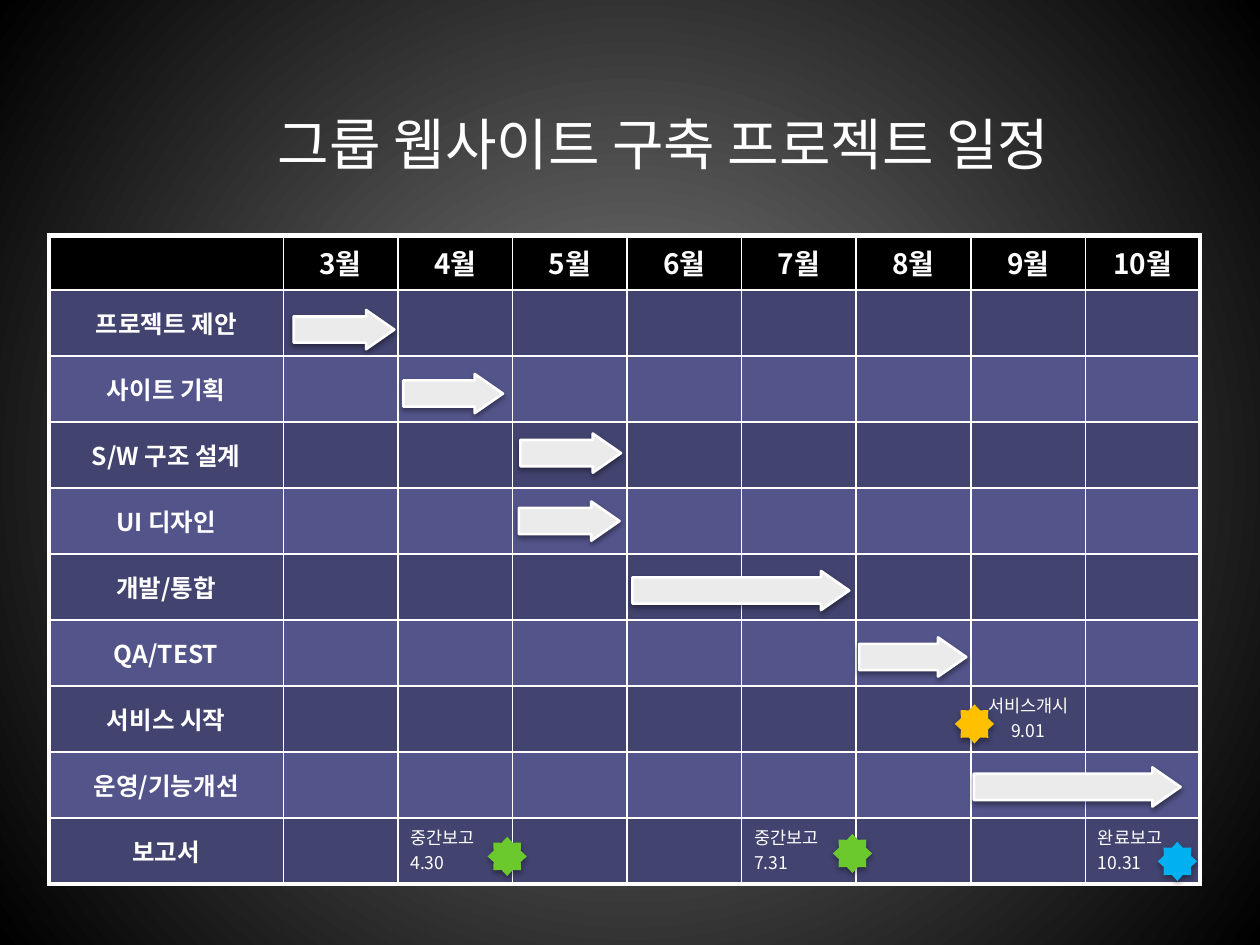
from lxml.etree import SubElement
from pptx import Presentation
from pptx.dml.color import RGBColor
from pptx.enum.shapes import MSO_SHAPE as Shape
from pptx.enum.text import MSO_ANCHOR as Anchor, PP_ALIGN as Align
from pptx.oxml import parse_xml
from pptx.oxml.ns import nsdecls, qn
from pptx.util import Cm, Pt

WHITE = "FFFFFF"
FONT = "Noto Sans CJK KR"


def rgb(value):
    return RGBColor.from_string(value)


def add_marker(kind, left, top, width, color, opacity, distance):
    shape = slide.shapes.add_shape(kind, Cm(left), Cm(top), Cm(width), Cm(0.79))
    shape.fill.solid()
    shape.fill.fore_color.rgb = rgb(color)
    shape.line.fill.background()
    shape.shadow.inherit = False
    effects = shape._element.spPr.find(qn("a:effectLst"))
    effects.append(parse_xml(
        f'<a:outerShdw {nsdecls("a")} blurRad="{Pt(3.1)}" dist="{Pt(distance)}" '
        f'dir="5400000" rotWithShape="0"><a:srgbClr val="000000">'
        f'<a:alpha val="{opacity * 1000}"/></a:srgbClr></a:outerShdw>'))
    return shape


presentation = Presentation()
presentation.slide_width = Cm(25.4)
presentation.slide_height = Cm(19.05)
slide = presentation.slides.add_slide(presentation.slide_layouts[5])

background = slide.background.fill
background.gradient()
for stop, color, position in zip(background.gradient_stops, ("7F7F7F", "000000"), (0, 1)):
    stop.color.rgb = rgb(color)
    stop.position = position
linear = slide._element.find(".//" + qn("a:lin"))
linear.getparent().replace(linear, parse_xml(
    f'<a:path {nsdecls("a")} path="circle">'
    '<a:fillToRect l="50000" t="50000" r="50000" b="50000"/></a:path>'))

title = slide.shapes.title
title.left, title.top, title.width, title.height = Cm(2.95), Cm(1.68), Cm(20.88), Cm(2.41)
title.text_frame.text = "그룹 웹사이트 구축 프로젝트 일정"
title.text_frame.vertical_anchor = Anchor.MIDDLE
paragraph = title.text_frame.paragraphs[0]
paragraph.alignment = Align.CENTER
paragraph.font.name = "Roboto"
paragraph.font.size = Pt(32)
paragraph.font.color.rgb = rgb(WHITE)

months = [f"{month}월" for month in range(3, 11)]
tasks = ["프로젝트 제안", "사이트 기획", "S/W 구조 설계", "UI 디자인", "개발/통합",
         "QA/TEST", "서비스 시작", "운영/기능개선", "보고서"]
notes = {(7, 7): "서비스개시\n9.01", (9, 2): "중간보고 4.30",
         (9, 5): "중간보고 7.31", (9, 8): "완료보고 10.31"}
last_row, last_column = len(tasks), len(months)

schedule = slide.shapes.add_table(last_row + 1, last_column + 1,
                                  Cm(0.99), Cm(4.75), Cm(23.2), Cm(13.07)).table
for index, column in enumerate(schedule.columns):
    column.width = Cm(2.31 if index else 4.72)
for index, row in enumerate(schedule.rows):
    row.height = Cm(1.33 if index else 1.1)

for r in range(last_row + 1):
    for c in range(last_column + 1):
        cell = schedule.cell(r, c)
        if r == 0:
            text, size, fill = ([""] + months)[c], 16, "000000"
        else:
            text = tasks[r - 1] if c == 0 else notes.get((r, c), "")
            size = 14 if c == 0 else 10
            fill = "42436F" if r % 2 else "53548A"
        cell.text = text
        if r and c == 0:
            cell.vertical_anchor = Anchor.MIDDLE
        for paragraph in cell.text_frame.paragraphs:
            left_aligned = r == last_row and c > 0
            paragraph.alignment = Align.LEFT if left_aligned else Align.CENTER
            paragraph.font.name = FONT
            paragraph.font.size = Pt(size)
            paragraph.font.bold = r == 0 or c == 0
            paragraph.font.color.rgb = rgb(WHITE)
            defaults = paragraph._p.pPr.find(qn("a:defRPr"))
            SubElement(defaults, qn("a:ea"), typeface=FONT)
        edges = {"L": c == 0, "R": c == last_column, "T": r == 0, "B": r == last_row}
        properties = cell._tc.get_or_add_tcPr()
        for side, outer in edges.items():
            properties.append(parse_xml(
                f'<a:ln{side} {nsdecls("a")} w="{Pt(3 if outer else 1)}"><a:solidFill>'
                f'<a:srgbClr val="{WHITE}"/></a:solidFill></a:ln{side}>'))
        cell.fill.solid()
        cell.fill.fore_color.rgb = rgb(fill)

periods = [(5.92, 6.25, 2.03), (8.13, 7.54, 2.01), (10.49, 8.74, 2.03), (10.46, 10.11, 2.03),
           (12.75, 11.51, 4.37), (17.32, 12.85, 2.16), (19.63, 15.47, 4.17)]
for left, top, width in periods:
    arrow = add_marker(Shape.RIGHT_ARROW, left, top, width, "EBEBEB", 38, 1.6)
    arrow.adjustments[0] = 0.67
    arrow.adjustments[1] = 0.72
    arrow.line.color.rgb = rgb(WHITE)
    arrow.line.width = Pt(1.5)

milestones = [(19.25, 14.2, "FFC000"), (16.79, 16.81, "6CC92D"),
              (9.83, 16.87, "6CC92D"), (23.34, 16.97, "00B0F0")]
for left, top, color in milestones:
    add_marker(Shape.STAR_8_POINT, left, top, 0.79, color, 35, 1.8)

presentation.save("out.pptx")
